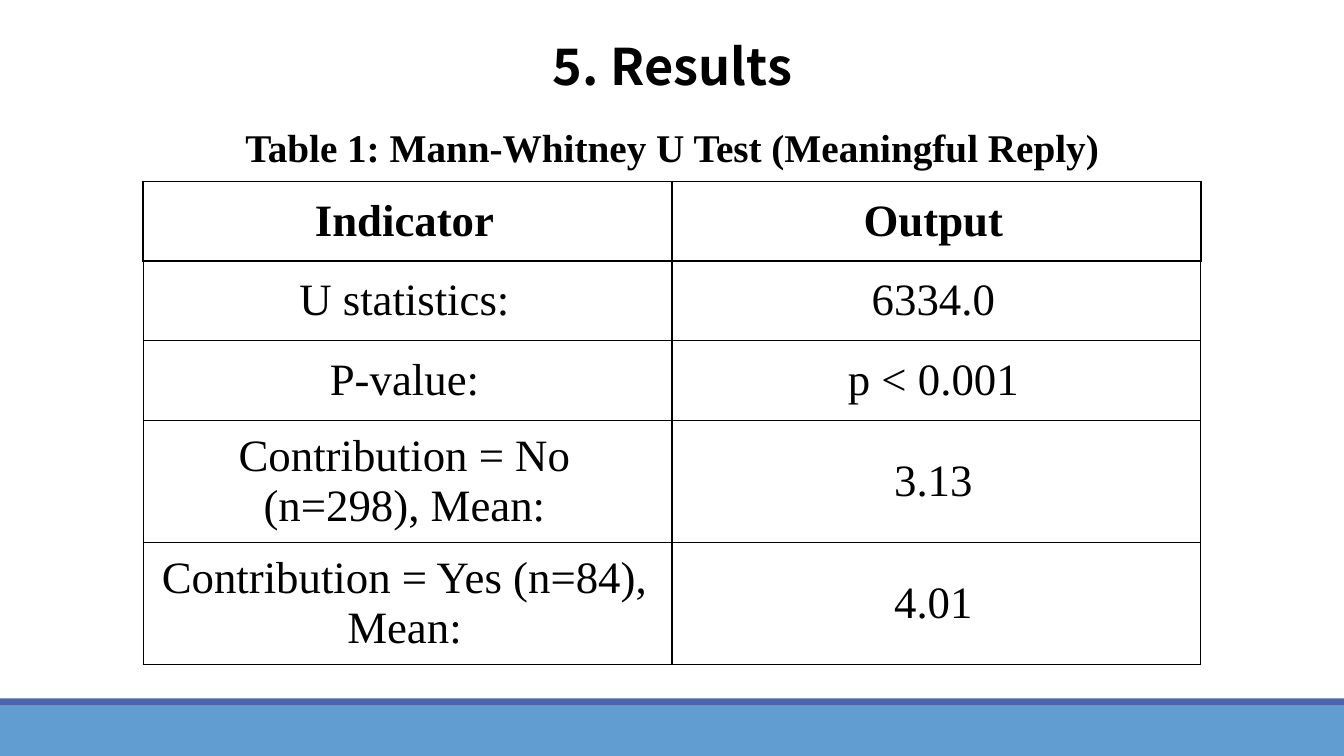
import pptx
import pptx.util
import pptx.dml.color
import pptx.enum.shapes
import pptx.enum.text
import pptx.oxml
import pptx.oxml.ns

Inches = pptx.util.Inches
Pt = pptx.util.Pt

COLORS = {"text": "000000", "paper": "FFFFFF", "footer": "629DD1", "stripe": "4A66AC"}
BARS = [("footer", (0, 7, 13.33, 0.5)), ("stripe", (0, 6.93, 13.33, 0.07))]
TITLE = "5. Results"
CAPTION = "Table 1: Mann-Whitney U Test (Meaningful Reply)"
ROWS = [
    ("Indicator", "Output"),
    ("U statistics:", "6334.0"),
    ("P-value:", "p < 0.001"),
    ("Contribution = No (n=298), Mean:", "3.13"),
    ("Contribution = Yes (n=84), Mean:", "4.01"),
]
ROW_HEIGHTS = [0.79, 0.79, 0.79, 1.21, 1.21]
TABLE_LEFT, TABLE_TOP, TABLE_WIDTH = 1.42, 1.8, 10.49
SERIF = "Times New Roman"
TITLE_FORMAT = {"size": Pt(36), "name": "Noto Sans CJK JP", "bold": True}
CAPTION_FORMAT = {"size": Pt(28), "name": SERIF, "bold": True}
CELL_MARGINS = {"margin_left": 0.07, "margin_top": 0, "margin_right": 0.07, "margin_bottom": 0}
ZERO_MARGINS = dict.fromkeys(CELL_MARGINS, 0)
NAMESPACE = pptx.oxml.ns.nsdecls("a")


def color(name):
    return pptx.dml.color.RGBColor.from_string(COLORS[name])


def set_margins(target, margins):
    for name, value in margins.items():
        setattr(target, name, Inches(value))


def write_text(frame, text, formats):
    paragraph = frame.paragraphs[0]
    paragraph.alignment = pptx.enum.text.PP_ALIGN.CENTER
    run = paragraph.add_run()
    run.text = text
    run.font.color.rgb = color("text")
    for name, value in formats.items():
        setattr(run.font, name, value)
    return paragraph


def add_rectangle(slide, box, fill):
    kind = pptx.enum.shapes.MSO_SHAPE.RECTANGLE
    shape = slide.shapes.add_shape(kind, *map(Inches, box))
    shape.shadow.inherit = False
    shape.fill.solid()
    shape.fill.fore_color.rgb = color(fill)
    shape.line.fill.background()
    return shape


def set_borders(cell, widths):
    properties = cell._tc.get_or_add_tcPr()
    for index, (side, width) in enumerate(zip("LRTB", widths)):
        properties.insert(index, pptx.oxml.parse_xml(
            f'<a:ln{side} {NAMESPACE} w="{Pt(width)}"><a:solidFill>'
            f'<a:srgbClr val="{COLORS["text"]}"/></a:solidFill></a:ln{side}>'))


def add_results_table(slide):
    box = (TABLE_LEFT, TABLE_TOP, TABLE_WIDTH, sum(ROW_HEIGHTS))
    columns = len(ROWS[0])
    table = slide.shapes.add_table(len(ROWS), columns, *map(Inches, box)).table
    table.first_row = table.horz_banding = False
    for column in table.columns:
        column.width = Inches(TABLE_WIDTH / columns)
    for index, (texts, height) in enumerate(zip(ROWS, ROW_HEIGHTS)):
        table.rows[index].height = Inches(height)
        side = 1.5 if index == 0 else 1
        top = 1.5 if index <= 1 else 1
        for cell, text in zip(table.rows[index].cells, texts):
            cell.fill.background()
            cell.vertical_anchor = pptx.enum.text.MSO_ANCHOR.MIDDLE
            set_margins(cell, CELL_MARGINS)
            formats = {"size": Pt(32), "name": SERIF, "bold": index == 0}
            paragraph = write_text(cell.text_frame, text, formats)
            indents = paragraph._p.get_or_add_pPr()
            for name, value in {"marL": 0.07, "marR": 0.13, "indent": 0}.items():
                indents.set(name, str(Inches(value)))
            set_borders(cell, (side, side, top, side))


def add_caption(slide):
    frame = add_rectangle(slide, (1.72, 1.22, 9.89, 0.47), "paper").text_frame
    frame.word_wrap = True
    frame.vertical_anchor = pptx.enum.text.MSO_ANCHOR.TOP
    set_margins(frame, ZERO_MARGINS)
    write_text(frame, CAPTION, CAPTION_FORMAT)


def add_title(slide):
    frame = slide.shapes.add_textbox(*map(Inches, (2.47, 0, 8.4, 0.93))).text_frame
    frame.word_wrap = True
    paragraph = write_text(frame, TITLE, TITLE_FORMAT)
    paragraph.line_spacing = 1.5
    paragraph.runs[0].font._element.insert(1, pptx.oxml.parse_xml(
        f'<a:effectLst {NAMESPACE}><a:outerShdw blurRad="38100" dist="38100" dir="2700000">'
        f'<a:srgbClr val="{COLORS["text"]}"><a:alpha val="43000"/></a:srgbClr>'
        '</a:outerShdw></a:effectLst>'))


def main():
    """Build the results slide with its test table."""
    presentation = pptx.Presentation()
    presentation.slide_width = Inches(13.33)
    presentation.slide_height = Inches(7.5)
    slide = presentation.slides.add_slide(presentation.slide_layouts[6])
    for fill, box in BARS:
        add_rectangle(slide, box, fill)
    add_results_table(slide)
    add_caption(slide)
    add_title(slide)
    presentation.save("out.pptx")


if __name__ == "__main__":
    main()
